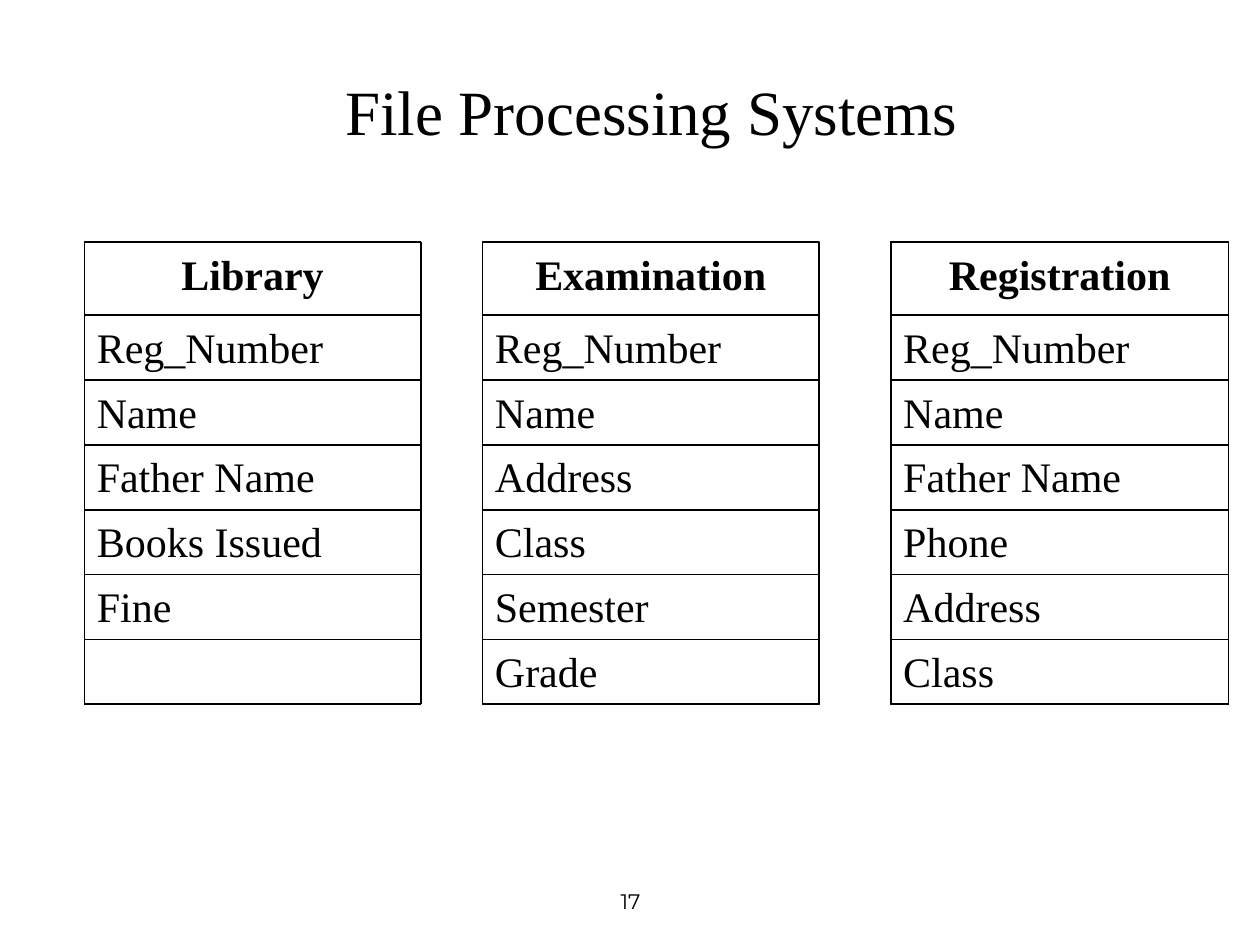
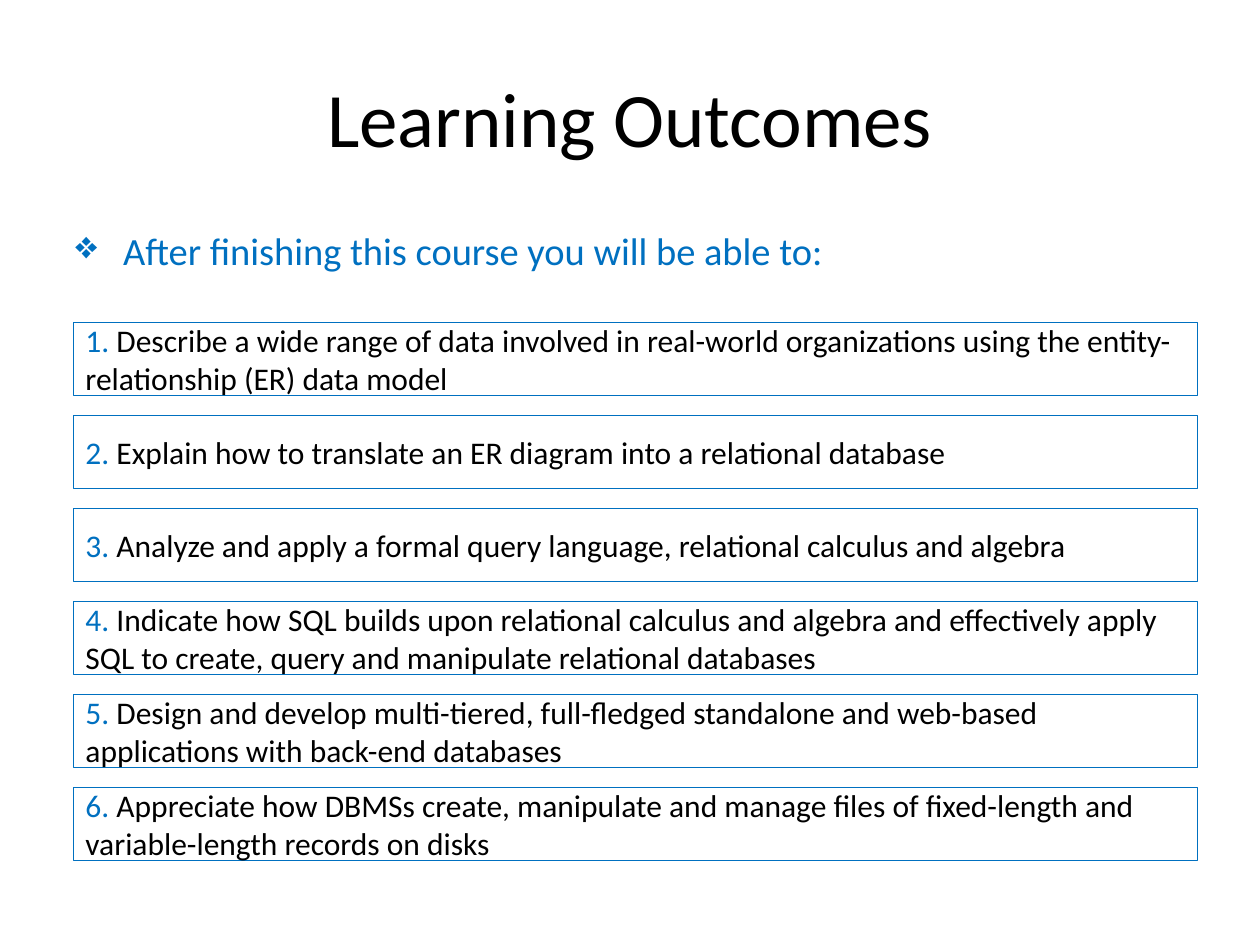
import pptx
import pptx.dml.color
import pptx.enum.shapes
import pptx.enum.text
import pptx.oxml.ns
import pptx.util
from lxml import etree
from pptx.util import Inches

BLACK, WHITE, BLUE = "000000", "FFFFFF", "0070C0"
SERIF, SANS, NUMBER_FONT = "Times New Roman", "Calibri", "Montserrat"
ALIGN = pptx.enum.text.PP_ALIGN
ANCHOR = pptx.enum.text.MSO_ANCHOR


def color(hex_string):
    return pptx.dml.color.RGBColor.from_string(hex_string)


def add_element(parent, tag, **attributes):
    return etree.SubElement(parent, pptx.oxml.ns.qn(tag), attributes)


class SlideBuilder:
    """Holds the deck style and the current slide."""

    def __init__(self):
        self.deck = pptx.Presentation()
        self.deck.slide_width = Inches(10)
        self.deck.slide_height = Inches(7.5)
        self.slide = None

    def new_slide(self):
        self.slide = self.deck.slides.add_slide(self.deck.slide_layouts[6])

    def style(self, span, size, font, hex_string=BLACK, bold=False):
        span.font.size = pptx.util.Pt(size)
        span.font.name = font
        span.font.bold = bold
        span.font.color.rgb = color(hex_string)

    def text(self, content, left, top, width, height, size, font,
             hex_string=BLACK, align=ALIGN.CENTER, anchor=ANCHOR.MIDDLE):
        box = self.slide.shapes.add_textbox(
            Inches(left), Inches(top), Inches(width), Inches(height))
        frame = box.text_frame
        frame.word_wrap = True
        frame.vertical_anchor = anchor
        frame.text = content
        para = frame.paragraphs[0]
        para.alignment = align
        self.style(para.runs[0], size, font, hex_string)
        return para

    def bullet_text(self, content, mark, indent, *place, **options):
        para = self.text(content, *place, align=ALIGN.LEFT, anchor=ANCHOR.TOP, **options)
        properties = para._p.get_or_add_pPr()
        properties.set("marL", str(Inches(indent)))
        properties.set("indent", str(-Inches(indent)))
        add_element(properties, "a:buChar", char=mark)

    def rectangle(self, shapes, left, top, width, height, line, line_width, fill=None):
        box = shapes.add_shape(
            pptx.enum.shapes.MSO_SHAPE.RECTANGLE,
            Inches(left), Inches(top), Inches(width), Inches(height))
        box.shadow.inherit = False
        if fill:
            box.fill.solid()
            box.fill.fore_color.rgb = color(fill)
        else:
            box.fill.background()
        box.line.color.rgb = color(line)
        box.line.width = pptx.util.Pt(line_width)
        box.text_frame.word_wrap = True
        return box

    def rule(self, shapes, x1, y1, x2, y2):
        line = shapes.add_connector(
            pptx.enum.shapes.MSO_CONNECTOR.STRAIGHT,
            Inches(x1), Inches(y1), Inches(x2), Inches(y2))
        line.line.color.rgb = color(BLACK)
        line.line.width = pptx.util.Pt(1)
        add_element(line._element.spPr, "a:effectLst")

    def record_file(self, fields, left, width, edges):
        """A stack of cells, the first one a bold heading, ruled on all edges."""
        shapes = self.slide.shapes.add_group_shape().shapes
        for row, (field, top, bottom) in enumerate(zip(fields, edges, edges[1:])):
            cell = self.rectangle(shapes, left, top, width, bottom - top, BLACK, 0.75)
            cell.text_frame.vertical_anchor = ANCHOR.TOP
            if field:
                cell.text_frame.text = field
                para = cell.text_frame.paragraphs[0]
                para.alignment = ALIGN.LEFT if row else ALIGN.CENTER
                self.style(para.runs[0], 24, SERIF, bold=row == 0)
        for edge in edges:
            self.rule(shapes, left, edge, left + width, edge)
        for side in (left, left + width):
            self.rule(shapes, side, edges[0], side, edges[-1])

    def outcome(self, number, content, top):
        box = self.rectangle(self.slide.shapes, 0.58, top, 8.92, 0.58, BLUE, 0.5, WHITE)
        frame = box.text_frame
        frame.vertical_anchor = ANCHOR.MIDDLE
        frame.margin_left = Inches(0.1)
        frame.margin_top = frame.margin_right = frame.margin_bottom = 0
        para = frame.paragraphs[0]
        para.alignment = ALIGN.LEFT
        for words, hex_string in ((f"{number}.", BLUE), (f" {content}", BLACK)):
            span = para.add_run()
            span.text = words
            self.style(span, 18, SANS, hex_string)


def file_systems_slide(builder):
    builder.new_slide()
    builder.text("17", 3.42, 6.95, 3.17, 0.4, 12, NUMBER_FONT)

    # Three separate files with repeated fields
    head_top, body_top, bottom, row_count = 1.92, 2.5, 5.59, 6
    row_height = (bottom - body_top) / row_count
    edges = [head_top] + [body_top + row * row_height for row in range(row_count + 1)]
    files = [
        (0.67, 2.67, ["Library", "Reg_Number", "Name", "Father Name",
                      "Books Issued", "Fine", ""]),
        (3.83, 2.67, ["Examination", "Reg_Number", "Name", "Address",
                      "Class", "Semester", "Grade"]),
        (7.07, 2.68, ["Registration", "Reg_Number", "Name", "Father Name",
                      "Phone", "Address", "Class"]),
    ]
    for left, width, fields in files:
        builder.record_file(fields, left, width, edges)

    builder.text("File Processing Systems", 0.67, 0.5, 9, 0.75, 36, SERIF)


def outcomes_slide(builder):
    builder.new_slide()
    builder.text("Learning Outcomes", 0.5, 0.3, 9, 1.25, 44, SANS)
    builder.bullet_text("After finishing this course you will be able to:", "❖", 0.38,
                        0.5, 1.75, 9, 0.5, 22, SANS, hex_string=BLUE)

    # Numbered outcomes at an equal pitch
    outcomes = [
        "Describe a wide range of data involved in real-world organizations "
        "using the entity-relationship (ER) data model",
        "Explain how to translate an ER diagram into a relational database",
        "Analyze and apply a formal query language, relational calculus and algebra",
        "Indicate how SQL builds upon relational calculus and algebra and effectively "
        "apply SQL to create, query and manipulate relational databases",
        "Design and develop multi-tiered, full-fledged standalone and web-based "
        "applications with back-end databases",
        "Appreciate how DBMSs create, manipulate and manage files of fixed-length "
        "and variable-length records on disks",
    ]
    first_top, last_top = 2.56, 6.25
    pitch = (last_top - first_top) / (len(outcomes) - 1)
    for index, content in enumerate(outcomes):
        builder.outcome(index + 1, content, first_top + index * pitch)


def main():
    builder = SlideBuilder()
    file_systems_slide(builder)
    outcomes_slide(builder)
    builder.deck.save("out.pptx")


if __name__ == "__main__":
    main()
